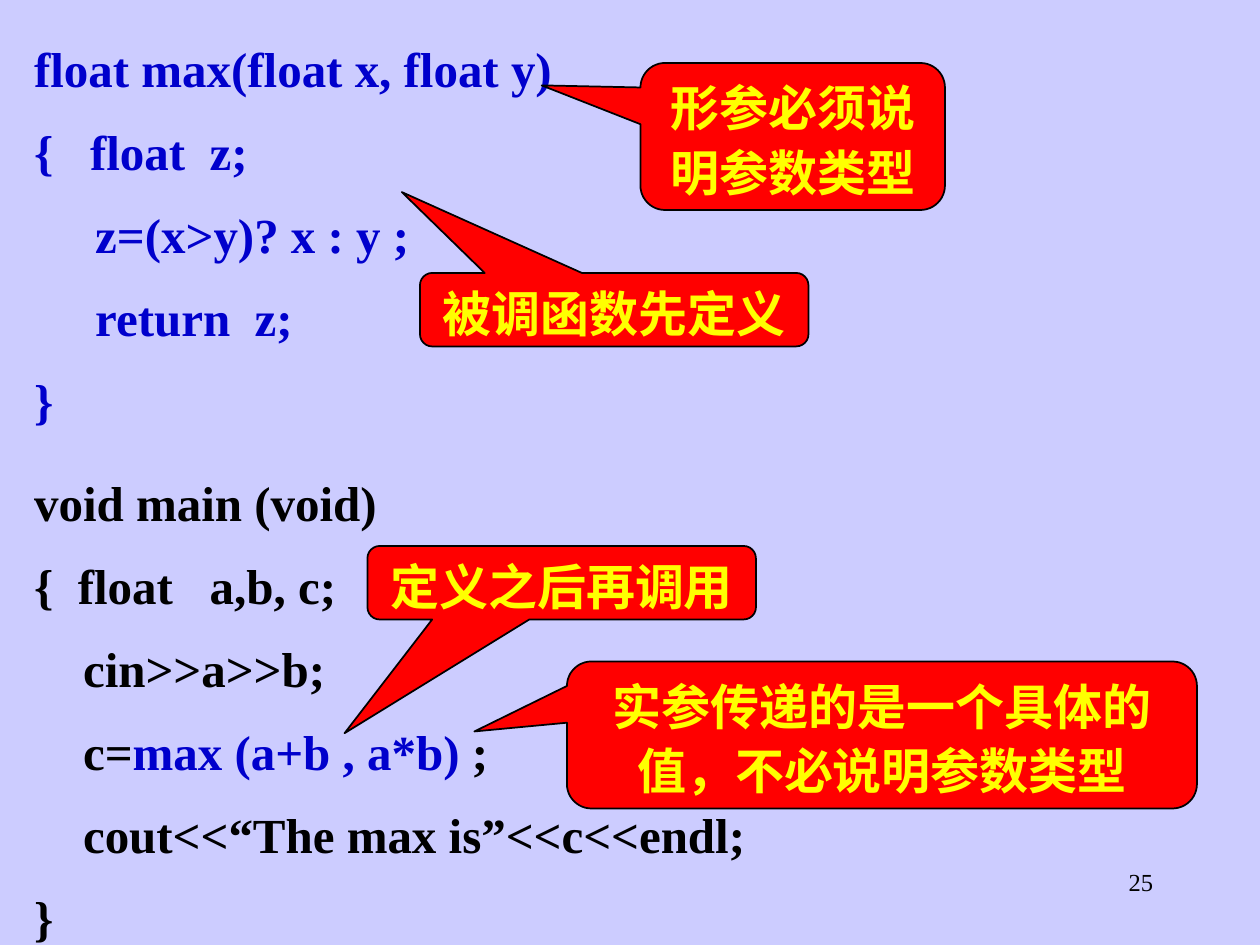
import pptx
import pptx.util
import pptx.dml.color
import pptx.enum.shapes
import pptx.enum.text

Pt = pptx.util.Pt
ALIGN = pptx.enum.text.PP_ALIGN
ANCHOR = pptx.enum.text.MSO_ANCHOR

FONT = "Times New Roman"
COLORS = {
    "background": "CCCCFF",
    "code": "000000",
    "function": "0000CC",
    "callout": "FF0000",
    "callout_text": "FFFF00",
}

# Each line is a list of (text, colour) runs.
MAX_CODE = [
    [(line, "function")]
    for line in (
        "float max(float x, float y)",
        "{   float  z;",
        "     z=(x>y)? x : y ;",
        "     return  z;",
        "}",
    )
]
MAIN_CODE = [
    [("void main (void)", "code")],
    [("{  float   a,b, c;", "code")],
    [("    cin>>a>>b;", "code")],
    [("    c=", "code"), ("max (a+b , a*b)", "function"), (" ;", "code")],
    [("    cout<<“The max is”<<c<<endl;", "code")],
    [("}", "code")],
]
CODE_BLOCKS = [
    (MAX_CODE, (18, 18, 480, 228)),
    (MAIN_CODE, (18, 266, 480, 276)),
]
# Text, box (left, top, width, height), point that the tail reaches.
CALLOUTS = [
    ("被调函数先定义", (240, 156, 222, 42), (229.6, 109.8)),
    ("定义之后再调用", (210, 312, 222, 42), (196.9, 419)),
    ("形参必须说明参数类型", (366, 36, 174, 84), (309.5, 48.8)),
    ("实参传递的是一个具体的值，不必说明参数类型", (324, 378, 360, 84), (271.1, 418)),
]
PAGE_NUMBER = ("25", (516, 492, 150, 36))


def rgb(name):
    return pptx.dml.color.RGBColor.from_string(COLORS[name])


def set_frame(tf, anchor):
    tf.word_wrap = True
    tf.vertical_anchor = anchor
    tf.margin_left = tf.margin_right = Pt(1.5)
    tf.margin_top = tf.margin_bottom = Pt(0.75)


def set_paragraph(p, space_before):
    p.font.name = FONT
    p.font.size = Pt(28)
    p.font.bold = True
    p.line_spacing = 1.1
    p.space_before = Pt(space_before)


def add_code(s, lines, box):
    tf = s.shapes.add_textbox(*map(Pt, box)).text_frame
    set_frame(tf, ANCHOR.TOP)
    for i, runs in enumerate(lines):
        p = tf.add_paragraph() if i else tf.paragraphs[0]
        set_paragraph(p, 10.5)
        for text, color in runs:
            r = p.add_run()
            r.text = text
            r.font.color.rgb = rgb(color)


def add_callout(s, text, box, tip):
    left, top, width, height = box
    kind = pptx.enum.shapes.MSO_SHAPE.ROUNDED_RECTANGULAR_CALLOUT
    sp = s.shapes.add_shape(kind, *map(Pt, box))
    # The tail is measured from the centre, in fractions of the box.
    sp.adjustments[0] = (tip[0] - left) / width - 0.5
    sp.adjustments[1] = (tip[1] - top) / height - 0.5
    sp.shadow.inherit = False
    sp.fill.solid()
    sp.fill.fore_color.rgb = rgb("callout")
    sp.line.color.rgb = rgb("code")
    sp.line.width = Pt(1)
    set_frame(sp.text_frame, ANCHOR.MIDDLE)
    p = sp.text_frame.paragraphs[0]
    p.text = text
    p.alignment = ALIGN.CENTER
    set_paragraph(p, 17.5)
    p.font.color.rgb = rgb("callout_text")
    # Keep a comma at a line end inside the margin.
    p._p.get_or_add_pPr().set("hangingPunct", "0")


def add_page_number(s, text, box):
    tf = s.shapes.add_textbox(*map(Pt, box)).text_frame
    tf.word_wrap = True
    p = tf.paragraphs[0]
    p.text = text
    p.alignment = ALIGN.RIGHT
    p.font.name = FONT
    p.font.size = Pt(14)
    p.font.color.rgb = rgb("code")


def main():
    prs = pptx.Presentation()
    prs.slide_width, prs.slide_height = Pt(720), Pt(540)
    s = prs.slides.add_slide(prs.slide_layouts.get_by_name("Blank"))
    s.background.fill.solid()
    s.background.fill.fore_color.rgb = rgb("background")
    add_page_number(s, *PAGE_NUMBER)
    for block in CODE_BLOCKS:
        add_code(s, *block)
    for callout in CALLOUTS:
        add_callout(s, *callout)
    prs.save("out.pptx")


if __name__ == "__main__":
    main()
